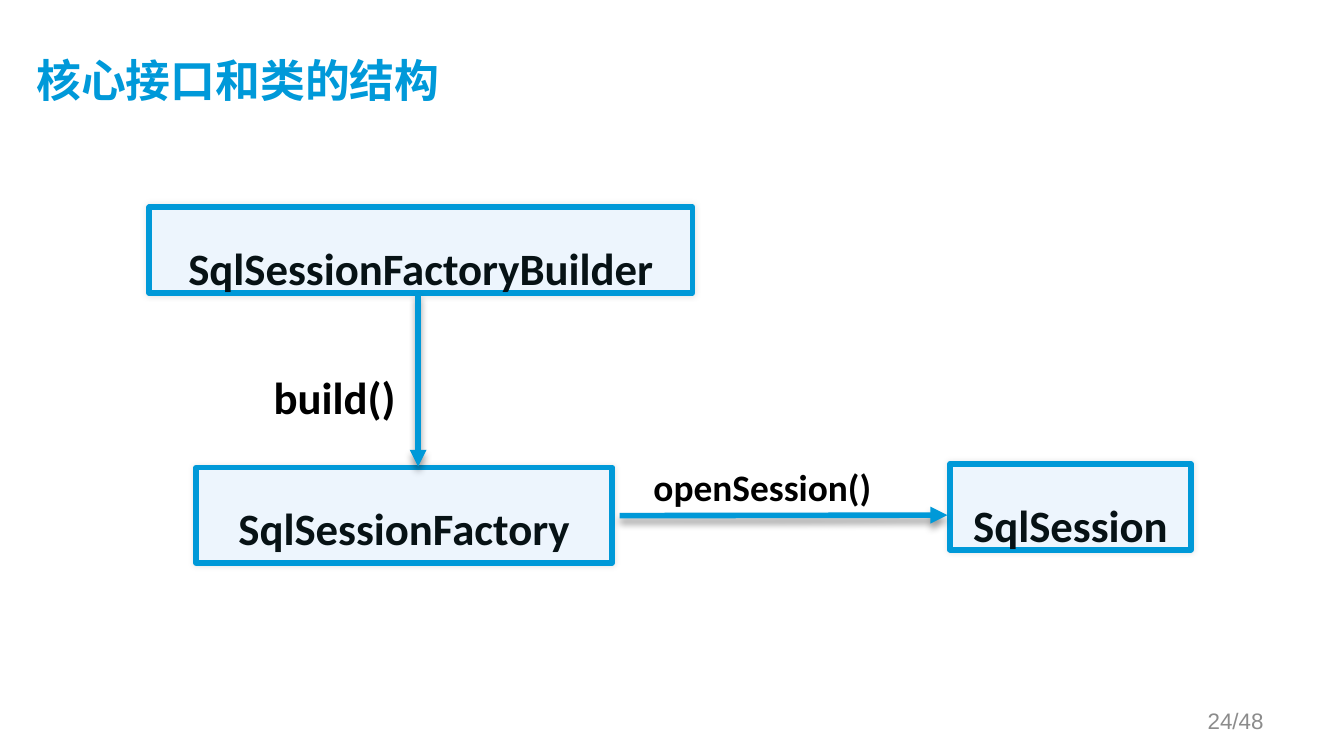
import pptx
import pptx.util
import pptx.dml.color
import pptx.enum.shapes
import pptx.enum.text
import pptx.oxml.ns
from lxml import etree

Pt = pptx.util.Pt
RGBColor = pptx.dml.color.RGBColor
ALIGN = pptx.enum.text.PP_ALIGN
ANCHOR = pptx.enum.text.MSO_ANCHOR
qn = pptx.oxml.ns.qn

BLUE = RGBColor(0x00, 0x99, 0xD8)
TITLE_BLUE = RGBColor(0x00, 0x99, 0xD9)
PALE_BLUE = RGBColor(0xED, 0xF5, 0xFD)
INK = RGBColor(0x07, 0x12, 0x15)
BLACK = RGBColor(0x00, 0x00, 0x00)
GREY = RGBColor(0x8C, 0x8C, 0x8C)

# Content: positions are (left, top, width, height) in points
TITLE = "核心接口和类的结构"
TITLE_PLACE = (19.5, 16.5, 644.5, 55.5)
CLASSES = [
    ("SqlSessionFactoryBuilder", (80, 111, 291, 46)),
    ("SqlSessionFactory", (105, 250.5, 223, 51)),
    ("SqlSession", (509, 248.5, 129, 46)),
]
METHODS = [
    ("build()", (139.5, 194.5, 101.5, 36), 24),
    ("openSession()", (343, 245, 163.5, 31.5), 20),
]
ARROWS = [  # from x, from y, to x, to y
    (224, 157, 224, 250),
    (332, 276.25, 507.5, 276),
]
PAGE = "24/48"
PAGE_PLACE = (516, 375, 168, 21.5)


def points(values):
    return [Pt(value) for value in values]


def write(frame, text, size, color, bold=True, font="Calibri", align=ALIGN.LEFT):
    frame.word_wrap = True
    frame.text = text
    paragraph = frame.paragraphs[0]
    paragraph.alignment = align
    run_font = paragraph.runs[0].font
    run_font.name, run_font.size, run_font.bold = font, Pt(size), bold
    run_font.color.rgb = color
    return paragraph


def add_shadow(shape, opacity, blur, distance, angle):
    properties = shape._element.spPr
    for old in properties.findall(qn("a:effectLst")):
        properties.remove(old)
    effects = etree.SubElement(properties, qn("a:effectLst"))
    shadow = etree.SubElement(
        effects, qn("a:outerShdw"), blurRad=str(Pt(blur)), dist=str(Pt(distance)),
        dir=str(angle * 60000), algn="ctr", rotWithShape="0")
    color = etree.SubElement(shadow, qn("a:srgbClr"), val=str(BLACK))
    etree.SubElement(color, qn("a:alpha"), val=str(opacity * 1000))


def outline(shape):
    shape.line.color.rgb = BLUE
    shape.line.width = Pt(3)


presentation = pptx.Presentation()
presentation.slide_width, presentation.slide_height = Pt(720), Pt(405)
slide = presentation.slides.add_slide(presentation.slide_layouts[5])
shapes = slide.shapes

# Title
title = shapes.title
title.left, title.top, title.width, title.height = points(TITLE_PLACE)
heading = title.text_frame
heading.margin_left = heading.margin_top = 0
heading.vertical_anchor = ANCHOR.MIDDLE
write(heading, TITLE, 24, TITLE_BLUE)

# Class boxes
for name, place in CLASSES:
    box = shapes.add_shape(pptx.enum.shapes.MSO_SHAPE.RECTANGLE, *points(place))
    box.fill.solid()
    box.fill.fore_color.rgb = PALE_BLUE
    outline(box)
    add_shadow(box, 10, 3, 0, 0)
    box.text_frame.vertical_anchor = ANCHOR.TOP
    write(box.text_frame, name, 24, INK, align=ALIGN.CENTER).line_spacing = 1.5

# Method labels
for method, place, size in METHODS:
    label = shapes.add_textbox(*points(place))
    write(label.text_frame, method, size, BLACK)

# Arrows
for ends in ARROWS:
    arrow = shapes.add_connector(pptx.enum.shapes.MSO_CONNECTOR.STRAIGHT, *points(ends))
    outline(arrow)
    etree.SubElement(arrow.line._get_or_add_ln(), qn("a:tailEnd"), type="triangle")
    add_shadow(arrow, 40, 4, 3, 90)

# Page number
page = shapes.add_textbox(*points(PAGE_PLACE))
page.text_frame.vertical_anchor = ANCHOR.MIDDLE
write(page.text_frame, PAGE, 12, GREY, bold=False, font="Arial", align=ALIGN.RIGHT)

presentation.save("out.pptx")
